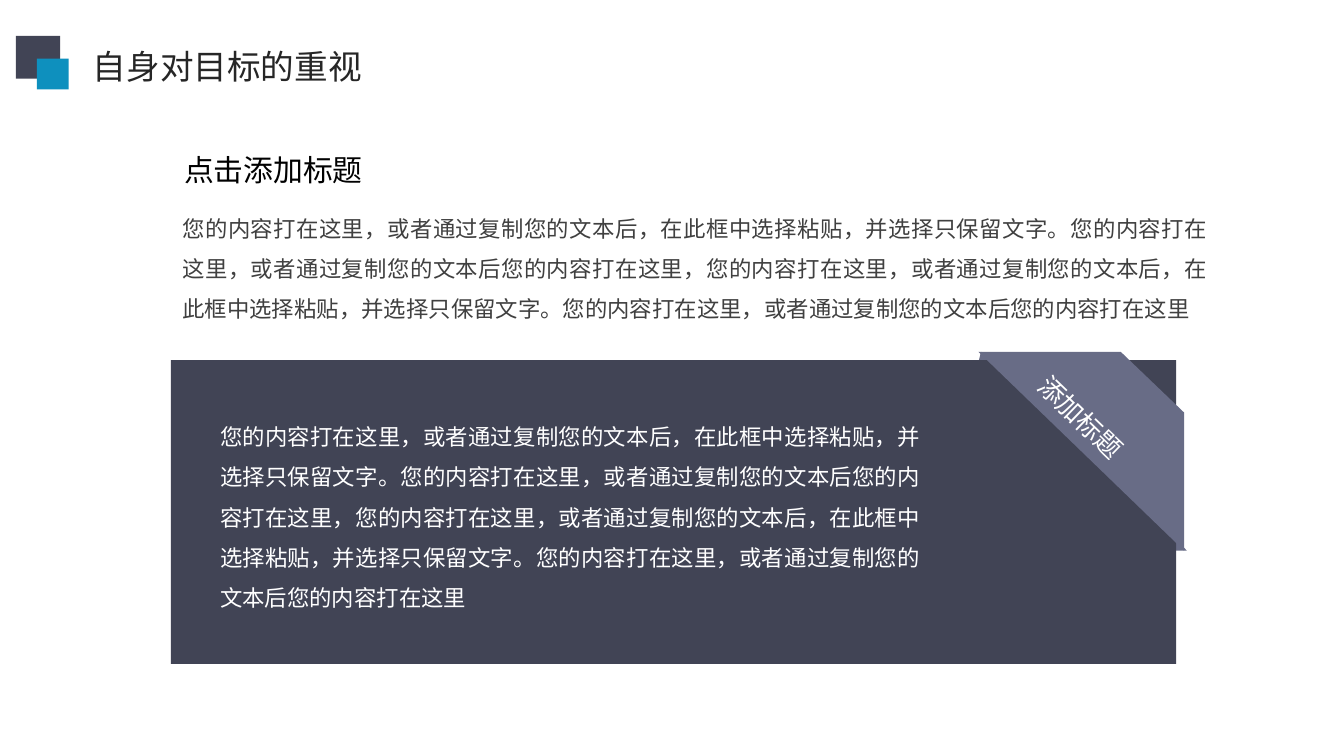
import lxml.etree
import pptx
import pptx.dml.color
import pptx.enum.shapes
import pptx.enum.text
import pptx.oxml.ns
import pptx.util

Cm = pptx.util.Cm
ALIGN = pptx.enum.text.PP_ALIGN
FONT = "Noto Sans CJK SC"
DARK, RIBBON, BLUE = "414455", "686C86", "0E90BE"
FIRST = "您的内容打在这里，或者通过复制您的文本后"
SECOND = "，在此框中选择粘贴，并选择只保留文字。"
BODY = FIRST + SECOND + FIRST + "您的内容打在这里，" + FIRST + SECOND + FIRST + "您的内容打在这里"


def paint(fill, color):
    fill.solid()
    fill.fore_color.rgb = pptx.dml.color.RGBColor.from_string(color)


def finish_shape(shape, color):
    paint(shape.fill, color)
    shape.line.fill.background()
    shape.shadow.inherit = False


def add_rectangle(slide, left, top, width, height, color):
    shape = slide.shapes.add_shape(
        pptx.enum.shapes.MSO_SHAPE.RECTANGLE, Cm(left), Cm(top), Cm(width), Cm(height))
    finish_shape(shape, color)


def add_polygon(slide, left, top, points, color):
    corners = [(Cm(left + x), Cm(top + y)) for x, y in points]
    builder = slide.shapes.build_freeform(*corners[0])
    builder.add_line_segments(corners[1:], close=True)
    finish_shape(builder.convert_to_shape(), color)


def write_text(shape, text, size, color, align=ALIGN.LEFT, spacing=1.0, wrap=False):
    frame = shape.text_frame
    frame.text = text
    frame.word_wrap = wrap
    frame.auto_size = pptx.enum.text.MSO_AUTO_SIZE.NONE
    frame.vertical_anchor = pptx.enum.text.MSO_ANCHOR.TOP
    paragraph = frame.paragraphs[0]
    paragraph.alignment = align
    paragraph.line_spacing = spacing
    font = paragraph.runs[0].font
    font.size = pptx.util.Pt(size)
    font.name = FONT
    paint(font.fill, color)
    # East Asian typeface
    properties = paragraph.runs[0]._r.get_or_add_rPr()
    lxml.etree.SubElement(properties, pptx.oxml.ns.qn("a:ea"), typeface=FONT)


def add_text(slide, left, top, width, height, *text, **options):
    shape = slide.shapes.add_textbox(Cm(left), Cm(top), Cm(width), Cm(height))
    write_text(shape, *text, **options)
    return shape


def add_body(slide, left, top, width, height, color):
    add_text(slide, left, top, width, height, BODY, 12, color,
             align=ALIGN.JUSTIFY, spacing=1.5, wrap=True)


def add_header(slide, left, top):
    # Two overlapping squares, then the title
    add_rectangle(slide, left, top, 0.84, 0.81, DARK)
    add_rectangle(slide, left + 0.4, top + 0.43, 0.6, 0.58, BLUE)
    title = slide.shapes.title
    title.left, title.top = Cm(left + 1.2), Cm(top + 0.06)
    title.width, title.height = Cm(5.64), Cm(1.02)
    write_text(title, "自身对目标的重视", 18, "262626")


def add_intro(slide, left, top, width, height):
    heading_height = 0.94
    add_text(slide, left + 0.03, top, 3.94, heading_height, "点击添加标题", 16, "000000")
    add_body(slide, left, top + heading_height, width, height - heading_height, "404040")


def add_panel(slide, left, top, width, height):
    # Ribbon folds behind the panel
    add_polygon(slide, left, top, [(19.2, 3.6), (18.89, 3.6), (18.89, 3.25)], RIBBON)
    add_polygon(slide, left, top, [(15.31, -0.16), (15.26, 0.05), (15.59, 0.05)], RIBBON)
    # Panel and its text
    add_rectangle(slide, left, top, width, height, DARK)
    add_body(slide, left + 0.68, top + 0.81, 13.74, 4.11, "FFFFFF")
    # Corner ribbon and its label
    band = [(15.26, -0.16), (19.15, 3.6), (19.15, 0.99), (17.95, -0.16)]
    add_polygon(slide, left, top, band, RIBBON)
    label = add_text(slide, left + 15.95, top + 0.66, 2.51, 0.86, "添加标题", 14, "FFFFFF")
    label.rotation = 44


def main():
    presentation = pptx.Presentation()
    presentation.slide_width, presentation.slide_height = Cm(25.4), Cm(14.29)
    slide = presentation.slides.add_slide(presentation.slide_layouts[5])
    add_intro(slide, 3.2, 2.74, 19.89, 4.27)
    add_panel(slide, 3.23, 6.81, 19, 5.74)
    add_header(slide, 0.3, 0.68)
    presentation.save("out.pptx")


if __name__ == "__main__":
    main()
